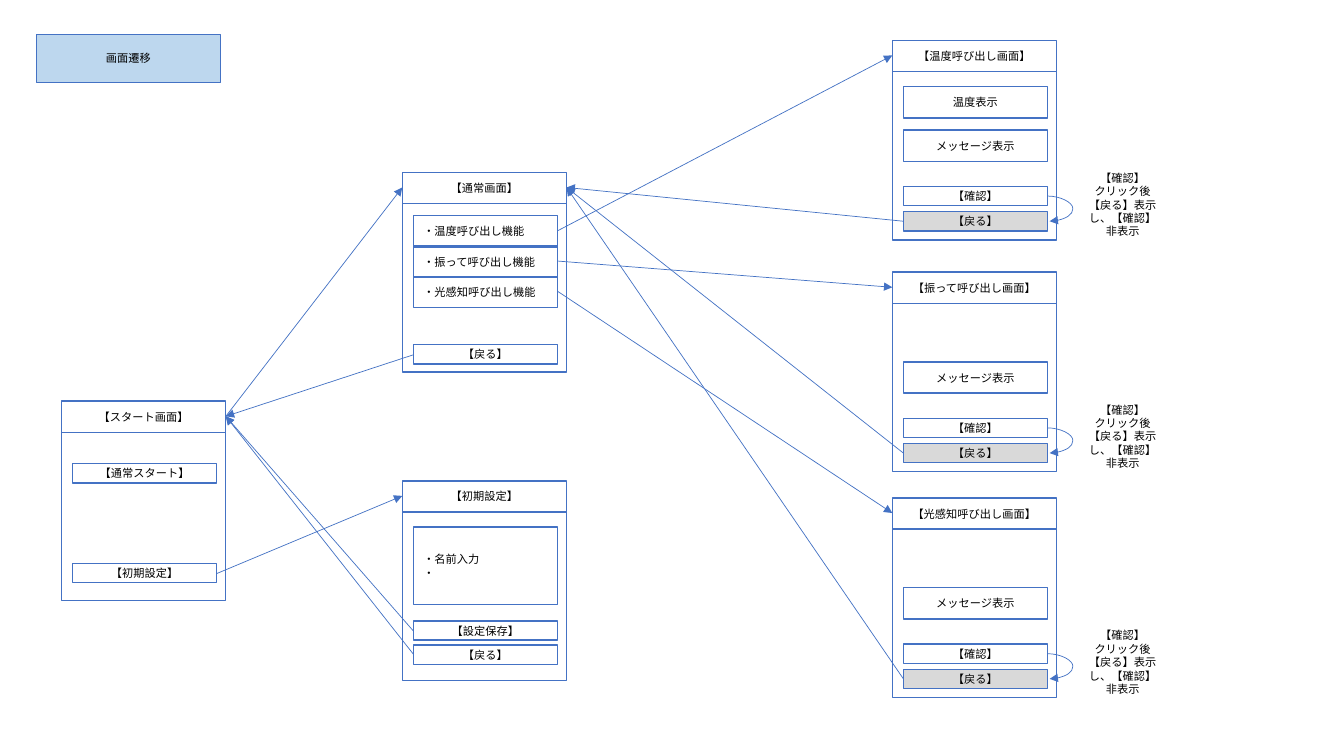
"""Build a screen transition diagram for a calling app."""
from lxml import etree
from pptx import Presentation
from pptx.dml.color import RGBColor
from pptx.enum.shapes import MSO_CONNECTOR, MSO_SHAPE
from pptx.enum.text import MSO_ANCHOR, MSO_AUTO_SIZE, PP_ALIGN
from pptx.oxml.ns import qn
from pptx.util import Inches, Pt

RECTANGLE = MSO_SHAPE.RECTANGLE
STRAIGHT, CURVE = MSO_CONNECTOR.STRAIGHT, MSO_CONNECTOR.CURVE
MIDDLE = MSO_ANCHOR.MIDDLE
LEFT, CENTER = PP_ALIGN.LEFT, PP_ALIGN.CENTER
NO_AUTOFIT = MSO_AUTO_SIZE.NONE
FONT = "Noto Sans CJK JP"
COLORS = {name: RGBColor.from_string(value) for name, value in {
    "line": "4472C4", "text": "000000", "title": "BDD7EE", "hidden": "D9D9D9",
}.items()}

SCREEN_WIDTH, HEADER_HEIGHT, BODY_HEIGHT = 1.63, 0.31, 1.67
PART_INSET, PART_WIDTH, BUTTON_HEIGHT, FIELD_HEIGHT = 0.11, 1.43, 0.19, 0.31
HEADER_MIDDLE = 0.15
CONFIRM_TOP, BACK_TOP = 1.45, 1.7
CURVE_WIDTH, CURVE_BULGE = 0.02, 0.25

deck = Presentation()
deck.slide_width, deck.slide_height = Inches(13.33), Inches(7.5)
page = deck.slides.add_slide(deck.slide_layouts[5])


def write(box, lines, align=CENTER):
    frame = box.text_frame
    frame.word_wrap = True
    frame.auto_size = NO_AUTOFIT
    frame.vertical_anchor = MIDDLE
    for index, line in enumerate(lines):
        para = frame.add_paragraph() if index else frame.paragraphs[0]
        para.alignment = align
        span = para.add_run()
        span.text = line
        span.font.size = Pt(8)
        span.font.name = FONT
        span.font.color.rgb = COLORS["text"]
        east_asian = etree.SubElement(span.font._element, qn("a:ea"))
        east_asian.set("typeface", FONT)


def connect(kind, start, end):
    arrow = page.shapes.add_connector(kind, *map(Inches, start + end))
    arrow.line.color.rgb = COLORS["line"]
    arrow.line.width = Pt(0.5)
    properties = arrow._element.spPr
    etree.SubElement(properties.find(qn("a:ln")), qn("a:tailEnd")).set("type", "triangle")
    etree.SubElement(properties, qn("a:effectLst"))
    return arrow


title = page.shapes.title
title.left, title.top, title.width, title.height = map(Inches, (0.36, 0.34, 1.83, 0.48))
title.fill.solid()
title.fill.fore_color.rgb = COLORS["title"]
title.line.color.rgb = COLORS["line"]
title.line.width = Pt(1)
write(title, ["画面遷移"])

message = (0.89, FIELD_HEIGHT, ["メッセージ表示"], CENTER, None)
confirm_buttons = [
    (CONFIRM_TOP, BUTTON_HEIGHT, ["【確認】"], CENTER, None),
    (BACK_TOP, BUTTON_HEIGHT, ["【戻る】"], CENTER, "hidden"),
]
start_left, middle_left, call_left = 0.61, 3.99, 8.85
start_top, normal_top, setup_top = 3.98, 1.71, 4.77
call_tops = [0.4, 2.7, 4.94]

screens = [
    (start_left, start_top, "【スタート画面】", [
        (0.62, BUTTON_HEIGHT, ["【通常スタート】"], CENTER, None),
        (1.61, BUTTON_HEIGHT, ["【初期設定】"], CENTER, None),
    ]),
    (middle_left, normal_top, "【通常画面】", [
        (0.43, FIELD_HEIGHT, ["・温度呼び出し機能"], LEFT, None),
        (0.73, FIELD_HEIGHT, ["・振って呼び出し機能"], LEFT, None),
        (1.03, FIELD_HEIGHT, ["・光感知呼び出し機能"], LEFT, None),
        (1.71, BUTTON_HEIGHT, ["【戻る】"], CENTER, None),
    ]),
    (middle_left, setup_top, "【初期設定】", [
        (0.46, 0.77, ["・名前入力", "・"], LEFT, None),
        (1.39, BUTTON_HEIGHT, ["【設定保存】"], CENTER, None),
        (1.63, BUTTON_HEIGHT, ["【戻る】"], CENTER, None),
    ]),
    (call_left, call_tops[0], "【温度呼び出し画面】", [
        (0.46, FIELD_HEIGHT, ["温度表示"], CENTER, None), message, *confirm_buttons]),
    (call_left, call_tops[1], "【振って呼び出し画面】", [message, *confirm_buttons]),
    (call_left, call_tops[2], "【光感知呼び出し画面】", [message, *confirm_buttons]),
]

for left, top, heading, parts in screens:
    boxes = [
        (left, top + HEADER_HEIGHT, SCREEN_WIDTH, BODY_HEIGHT, [], CENTER, None),
        (left, top, SCREEN_WIDTH, HEADER_HEIGHT, [heading], CENTER, None),
    ]
    for offset, height, lines, align, fill in parts:
        boxes.append((left + PART_INSET, top + offset, PART_WIDTH, height, lines, align, fill))
    for *bounds, lines, align, fill in boxes:
        box = page.shapes.add_shape(RECTANGLE, *map(Inches, bounds))
        box.shadow.inherit = False
        box.line.color.rgb = COLORS["line"]
        box.line.width = Pt(1)
        if fill:
            box.fill.solid()
            box.fill.fore_color.rgb = COLORS[fill]
        else:
            box.fill.background()
        write(box, lines, align)

start_exit = (start_left + SCREEN_WIDTH, start_top + HEADER_MIDDLE)
normal_entry = (middle_left, normal_top + HEADER_MIDDLE)
normal_return = (middle_left + SCREEN_WIDTH, normal_top + HEADER_MIDDLE)
setup_entry = (middle_left, setup_top + HEADER_MIDDLE)
middle_part_left = middle_left + PART_INSET
call_part_left = call_left + PART_INSET
call_part_right = call_part_left + PART_WIDTH

connect(STRAIGHT, start_exit, normal_entry)
connect(STRAIGHT, (start_left + PART_INSET + PART_WIDTH, 5.69), setup_entry)
for button_middle in (3.52, 6.26, 6.49):
    connect(STRAIGHT, (middle_part_left, button_middle), start_exit)

for index, top in enumerate(call_tops):
    function_middle = 2.29 + 0.3 * index
    confirm_middle = top + CONFIRM_TOP + BUTTON_HEIGHT / 2
    back_middle = top + BACK_TOP + BUTTON_HEIGHT / 2
    connect(STRAIGHT, (middle_part_left + PART_WIDTH, function_middle),
            (call_left, top + HEADER_MIDDLE))
    connect(STRAIGHT, (call_part_left, back_middle), normal_return)
    loop = connect(CURVE, (call_part_right, confirm_middle),
                   (call_part_right + CURVE_WIDTH, back_middle))
    geometry = loop._element.spPr.find(qn("a:prstGeom"))
    guide = etree.SubElement(geometry.find(qn("a:avLst")), qn("a:gd"))
    guide.set("name", "adj1")
    guide.set("fmla", f"val {round(CURVE_BULGE / CURVE_WIDTH * 100000)}")
    note = page.shapes.add_textbox(*map(Inches, (10.65, top + 1.28, 0.97, 0.7)))
    write(note, ["【確認】", "クリック後", "【戻る】表示し、【確認】非表示"])

deck.save("out.pptx")
